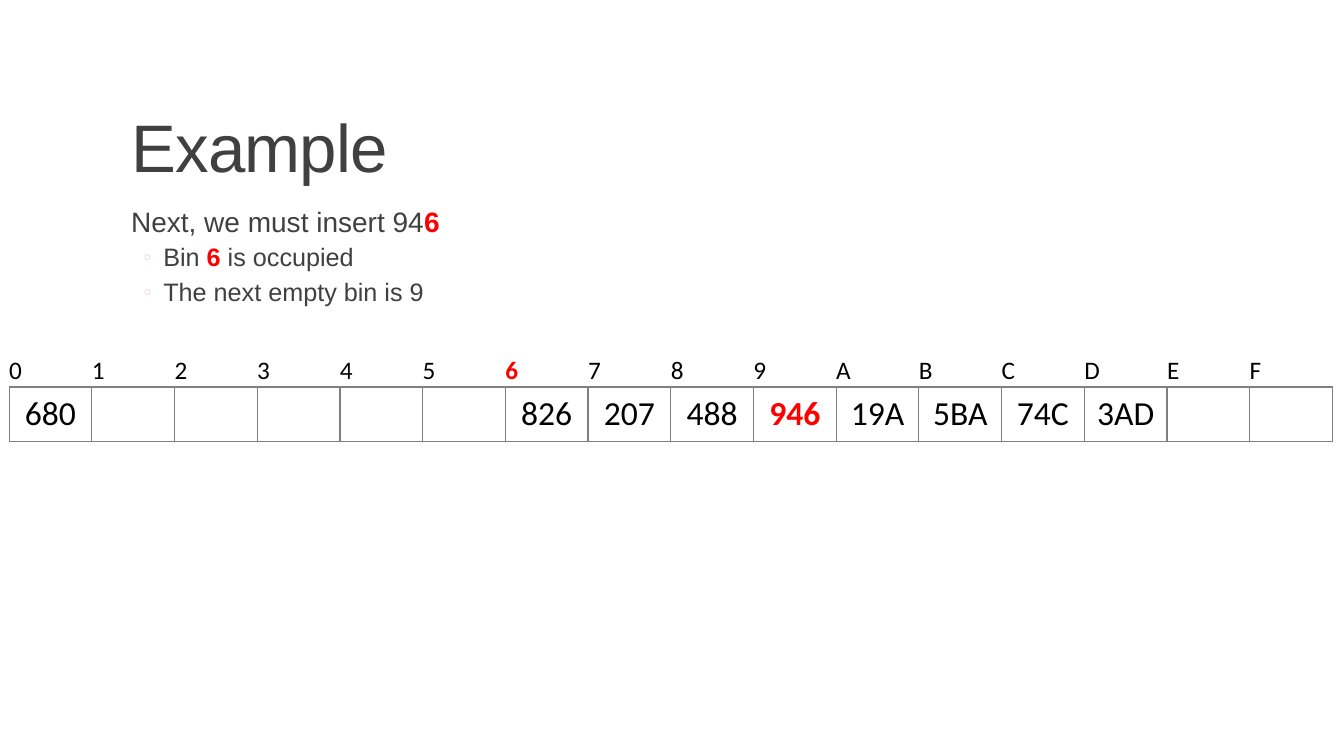
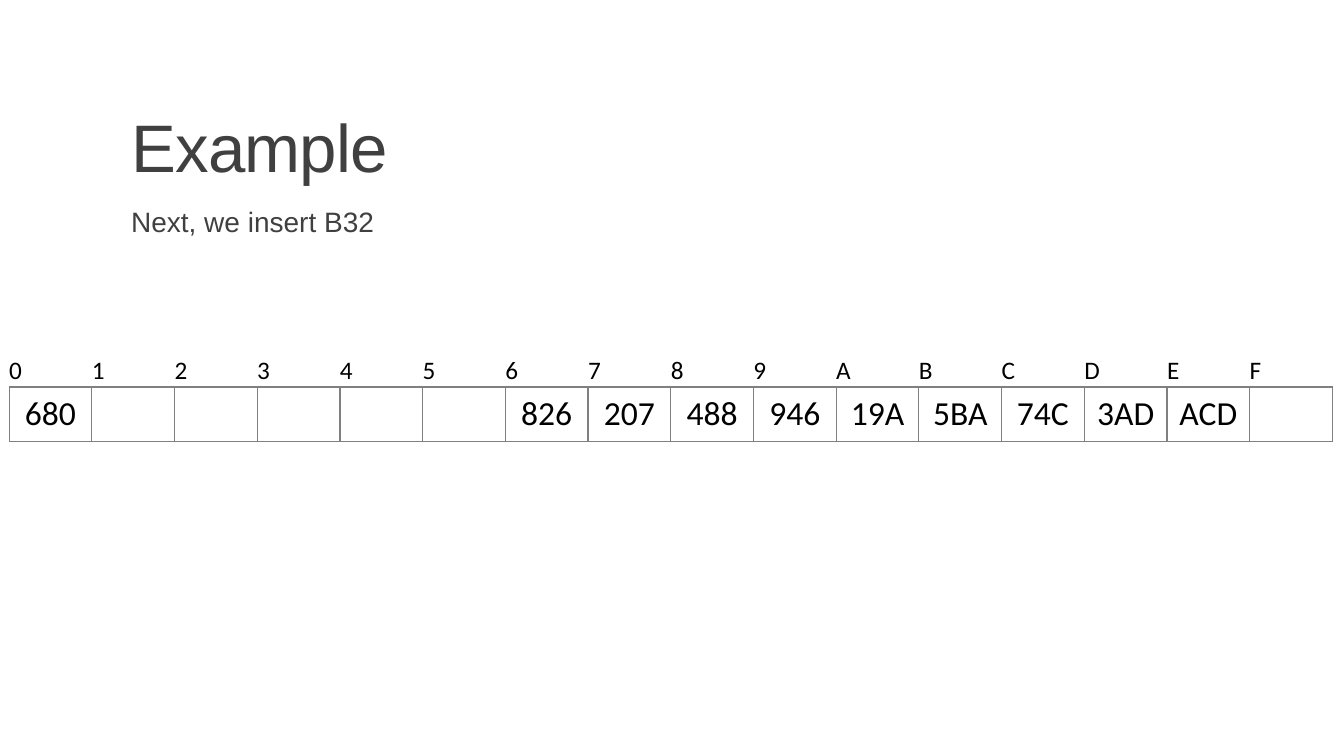
"""Build two slides that show values being inserted into a hash table of sixteen bins."""
import dataclasses

import pptx
import pptx.dml.color
import pptx.enum.text
import pptx.oxml
import pptx.oxml.ns
import pptx.presentation
import pptx.shapes.base
import pptx.slide
import pptx.table
import pptx.text.text
import pptx.util

COLORS = {
    "body": "404040",
    "cell": "000000",
    "hot": "FF0000",
    "bullet": "F2DCDB",
    "rule": "808080",
}
TEXT_FONT = "Arial"
TABLE_FONT = "Calibri"
SLIDE_WIDTH = pptx.util.Inches(13.333)
SLIDE_HEIGHT = pptx.util.Inches(7.5)
BIN_LABELS = "0123456789ABCDEF"
PLAIN_TABLE_STYLE = "{2D5ABB26-0587-4C30-8999-92F81FD0307C}"
LABEL_ROW, BIN_ROW = 4.4, 7.2


@dataclasses.dataclass(frozen=True)
class Area:
    """A rectangle in percent of the slide's width and height."""
    left: float
    top: float
    width: float
    height: float


@dataclasses.dataclass(frozen=True)
class Span:
    """A piece of text, highlighted when hot."""
    text: str
    hot: bool = False


@dataclasses.dataclass(frozen=True)
class Line:
    """A body paragraph at an outline level."""
    spans: tuple[Span, ...]
    level: int = 0


@dataclasses.dataclass(frozen=True)
class LevelStyle:
    """Paragraph settings of an outline level, in points and inches."""
    size: float
    margin: float
    indent: float
    before: float
    after: float
    bullet: str = ""


@dataclasses.dataclass(frozen=True)
class Step:
    """One step of the insertion: its text, bins and highlights."""
    lines: tuple[Line, ...]
    bins: dict[str, str]
    hot_label: str = ""
    hot_bin: str = ""


TITLE_AREA = Area(9, 4.13, 82.5, 21.2)
BODY_AREA = Area(9, 26.93, 82.5, 58.67)
TABLE_AREA = Area(0.68, 46.8, 98.48, LABEL_ROW + BIN_ROW)
LEVELS = (
    LevelStyle(size=20, margin=0.1, indent=0, before=12, after=2),
    LevelStyle(size=18, margin=0.42, indent=-0.2, before=2, after=4, bullet="◦"),
)
FILLED_BINS = {
    "0": "680", "6": "826", "7": "207", "8": "488", "9": "946",
    "A": "19A", "B": "5BA", "C": "74C", "D": "3AD",
}
STEPS = (
    Step(
        lines=(
            Line((Span("Next, we must insert 94"), Span("6", hot=True))),
            Line((Span("Bin "), Span("6", hot=True), Span(" is occupied")), level=1),
            Line((Span("The next empty bin is 9"),), level=1),
        ),
        bins=FILLED_BINS,
        hot_label="6",
        hot_bin="9",
    ),
    Step(
        lines=(Line((Span("Next, we insert B32"),)),),
        bins=FILLED_BINS | {"E": "ACD"},
    ),
)


def across(share: float) -> int:
    """Return a percentage of the slide's width."""
    return round(SLIDE_WIDTH * share / 100)


def down(share: float) -> int:
    """Return a percentage of the slide's height."""
    return round(SLIDE_HEIGHT * share / 100)


def place(shape: pptx.shapes.base.BaseShape, area: Area) -> None:
    """Move a shape to an area."""
    shape.left, shape.top = across(area.left), down(area.top)
    shape.width, shape.height = across(area.width), down(area.height)


def style_span(span: pptx.text.text._Run, name: str, size: float, color: str, bold: bool = False) -> None:
    """Set the font of a run."""
    span.font.name = name
    span.font.size = pptx.util.Pt(size)
    span.font.bold = bold
    span.font.color.rgb = pptx.dml.color.RGBColor.from_string(COLORS[color])


def set_bullet(para: pptx.text.text._Paragraph, style: LevelStyle) -> None:
    """Set the indents of a paragraph and its bullet, if any."""
    properties = para._p.get_or_add_pPr()
    properties.set("marL", str(pptx.util.Inches(style.margin)))
    properties.set("indent", str(pptx.util.Inches(style.indent)))
    if not style.bullet:
        properties.append(pptx.oxml.parse_xml(f"<a:buNone {pptx.oxml.ns.nsdecls('a')}/>"))
        return
    color = pptx.oxml.parse_xml(
        f'<a:buClr {pptx.oxml.ns.nsdecls("a")}><a:srgbClr val="{COLORS["bullet"]}"/></a:buClr>'
    )
    mark = pptx.oxml.parse_xml(f'<a:buChar {pptx.oxml.ns.nsdecls("a")} char="{style.bullet}"/>')
    properties.extend((color, mark))


def add_title(slide: pptx.slide.Slide, text: str) -> None:
    """Fill the title placeholder."""
    title = slide.shapes.title
    place(title, TITLE_AREA)
    frame = title.text_frame
    frame.text = text
    frame.auto_size = pptx.enum.text.MSO_AUTO_SIZE.NONE
    frame.vertical_anchor = pptx.enum.text.MSO_ANCHOR.BOTTOM
    para = frame.paragraphs[0]
    para.alignment = pptx.enum.text.PP_ALIGN.LEFT
    para.line_spacing = 0.85
    span = para.runs[0]
    style_span(span, TEXT_FONT, 48, "body")
    span._r.get_or_add_rPr().set("spc", "-50")


def add_body(slide: pptx.slide.Slide, lines: tuple[Line, ...]) -> None:
    """Fill the body placeholder with outline paragraphs."""
    body = slide.placeholders[1]
    place(body, BODY_AREA)
    frame = body.text_frame
    frame.auto_size = pptx.enum.text.MSO_AUTO_SIZE.NONE
    frame.margin_left = frame.margin_right = 0
    for index, line in enumerate(lines):
        style = LEVELS[line.level]
        para = frame.add_paragraph() if index else frame.paragraphs[0]
        para.level = line.level
        para.line_spacing = 0.9
        para.space_before = pptx.util.Pt(style.before if index else 0)
        para.space_after = pptx.util.Pt(style.after)
        set_bullet(para, style)
        for piece in line.spans:
            span = para.add_run()
            span.text = piece.text
            style_span(span, TEXT_FONT, style.size, "hot" if piece.hot else "body", piece.hot)


def add_borders(cell: pptx.table._Cell, sides: str) -> None:
    """Draw one-point rules on the given sides of a cell."""
    properties = cell._tc.get_or_add_tcPr()
    for index, side in enumerate(sides):
        properties.insert(index, pptx.oxml.parse_xml(
            f'<a:ln{side} {pptx.oxml.ns.nsdecls("a")} w="{pptx.util.Pt(1)}">'
            f'<a:solidFill><a:srgbClr val="{COLORS["rule"]}"/></a:solidFill></a:ln{side}>'
        ))


def fill_cell(cell: pptx.table._Cell, text: str, size: float, hot: bool, sides: str) -> None:
    """Write a table cell and draw its borders."""
    cell.text = text
    cell.fill.background()
    cell.margin_left = cell.margin_right = cell.margin_top = cell.margin_bottom = 0
    cell.vertical_anchor = pptx.enum.text.MSO_ANCHOR.MIDDLE
    for span in cell.text_frame.paragraphs[0].runs:
        style_span(span, TABLE_FONT, size, "hot" if hot else "cell", hot)
    add_borders(cell, sides)


def add_bins(slide: pptx.slide.Slide, step: Step) -> None:
    """Add the table of labelled bins."""
    area = TABLE_AREA
    frame = slide.shapes.add_table(
        2, len(BIN_LABELS), across(area.left), down(area.top), across(area.width), down(area.height)
    )
    table = frame.table
    table.first_row = table.horz_banding = False
    table._tbl.tblPr.find(pptx.oxml.ns.qn("a:tableStyleId")).text = PLAIN_TABLE_STYLE
    for row, height in zip(table.rows, (LABEL_ROW, BIN_ROW)):
        row.height = down(height)
    for index, label in enumerate(BIN_LABELS):
        table.columns[index].width = across(area.width / len(BIN_LABELS))
        fill_cell(table.cell(0, index), label, 18, label == step.hot_label, "B")
        bin_cell = table.cell(1, index)
        fill_cell(bin_cell, step.bins.get(label, ""), 24, label == step.hot_bin, "LRTB")
        bin_cell.text_frame.paragraphs[0].alignment = pptx.enum.text.PP_ALIGN.CENTER


def add_step(deck: pptx.presentation.Presentation, step: Step) -> None:
    """Add the slide of one insertion step."""
    slide = deck.slides.add_slide(deck.slide_layouts[1])
    add_body(slide, step.lines)
    add_title(slide, "Example")
    add_bins(slide, step)


def main() -> None:
    """Build and save the deck."""
    deck = pptx.Presentation()
    deck.slide_width, deck.slide_height = SLIDE_WIDTH, SLIDE_HEIGHT
    for step in STEPS:
        add_step(deck, step)
    deck.save("out.pptx")


if __name__ == "__main__":
    main()
